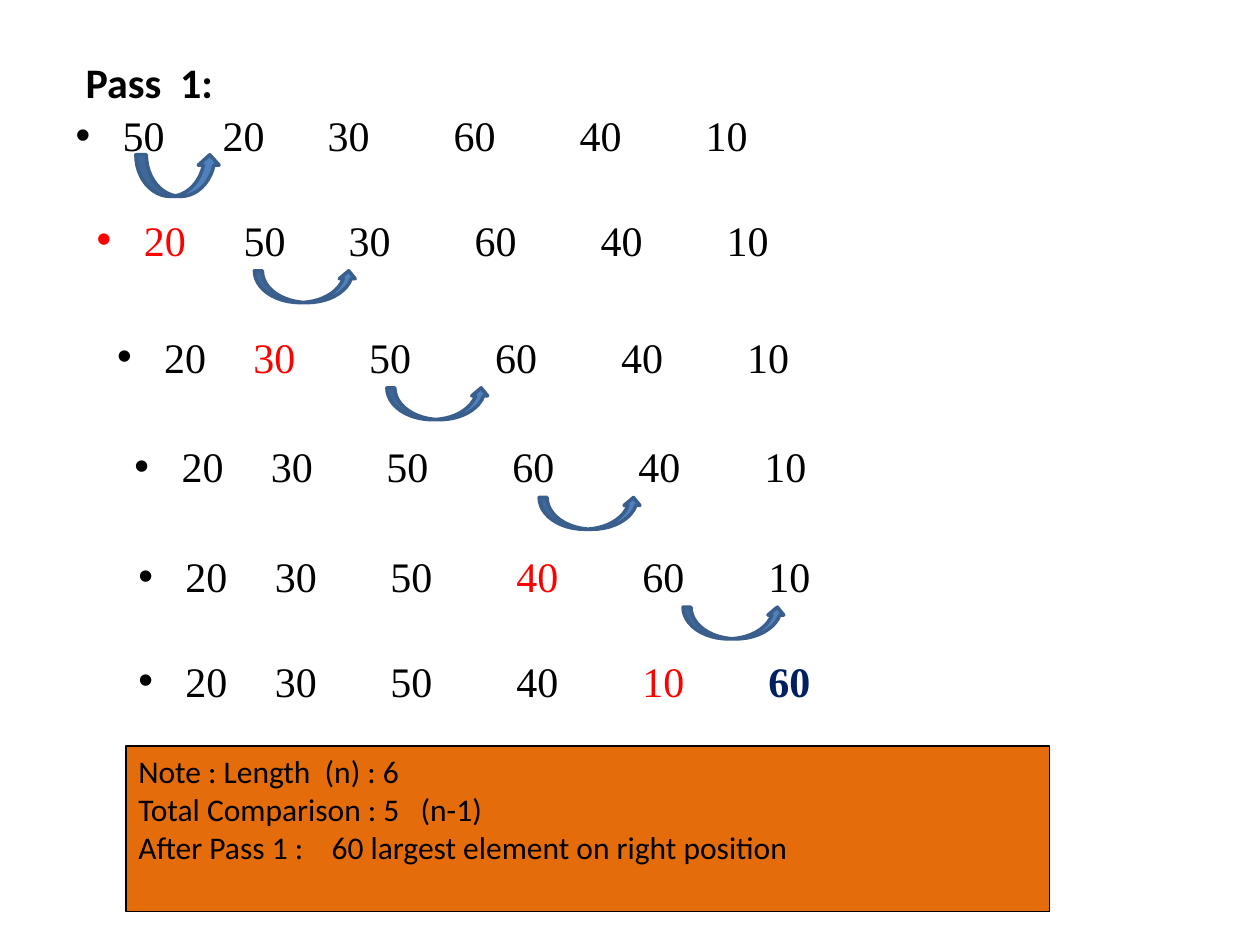
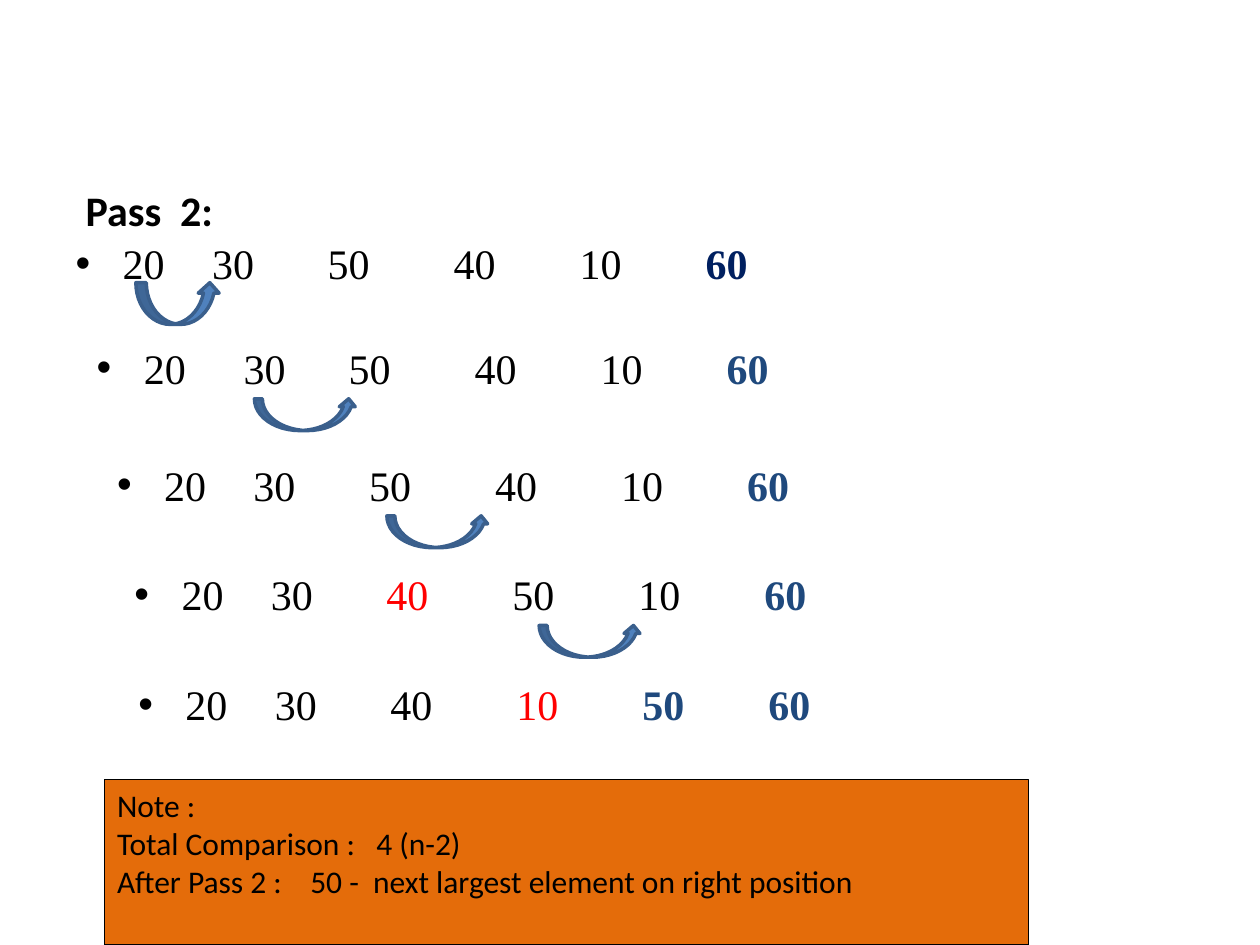
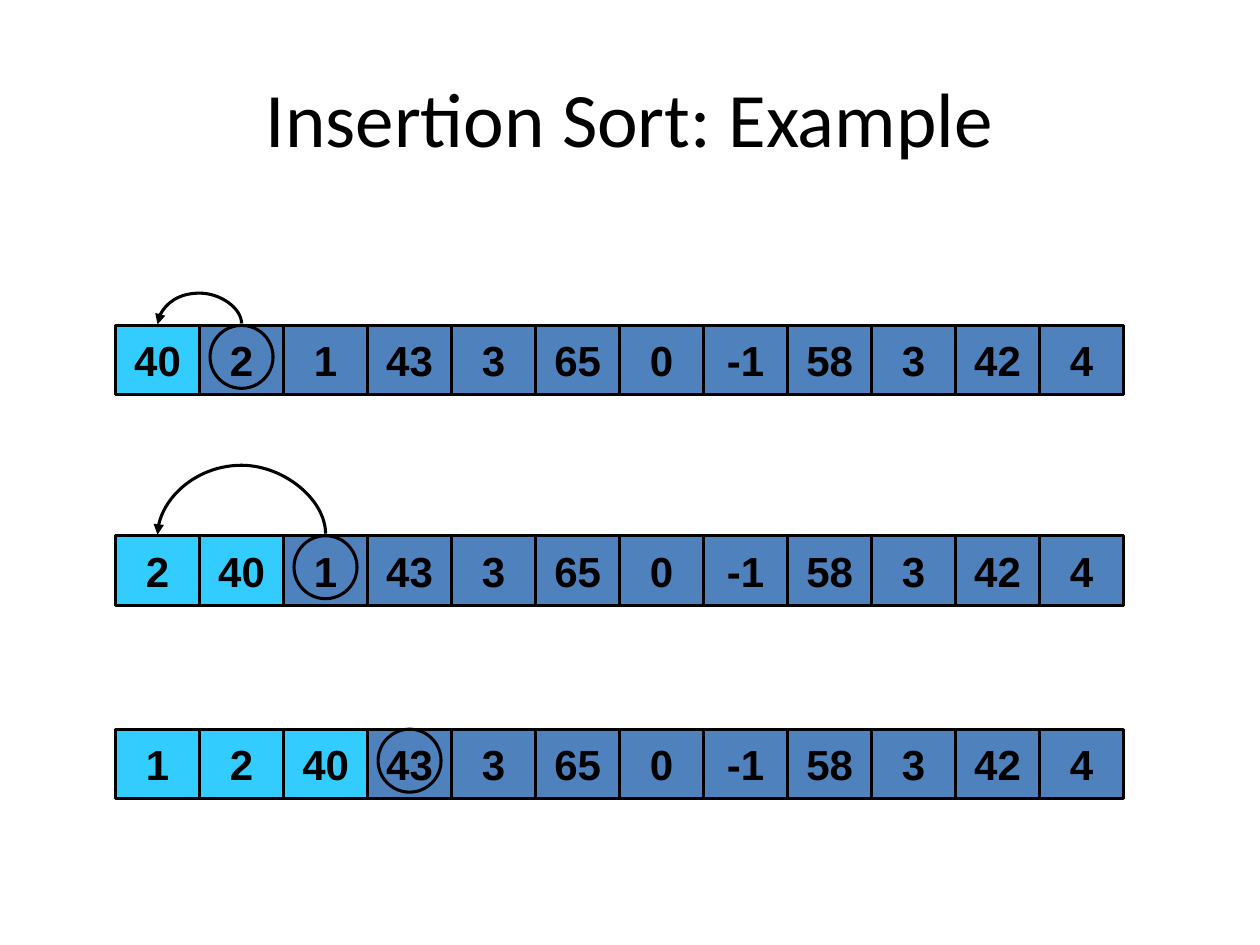
from lxml import etree
from pptx import Presentation
from pptx import util as u
from pptx.dml import color
from pptx.enum import shapes, text
from pptx.oxml import ns

COLORS = {
    "ink": "000000",
    "swapped": "FF0000",
    "settled": "002060",
    "placed": "1F497D",
    "note": "E46C0A",
    "unsorted": "4F81BD",
    "sorted": "33CCFF",
    "swap_edge": "3A5F8C",
}
FONTS = {
    "pass": {"name": "Calibri", "size": u.Pt(24), "bold": True},
    "numbers": {"name": "Times New Roman", "size": u.Pt(24), "bold": False},
    "final": {"name": "Times New Roman", "size": u.Pt(24), "bold": True},
    "note": {"name": "Calibri", "size": u.Pt(18)},
    "cell": {"name": "Arial", "size": u.Pt(24), "bold": True},
    "title": {"name": "Calibri", "size": u.Pt(44), "bold": False},
}
GROWING = {"word_wrap": True, "auto_size": text.MSO_AUTO_SIZE.SHAPE_TO_FIT_TEXT,
           "vertical_anchor": text.MSO_ANCHOR.TOP}
CENTERED = {"word_wrap": False, "vertical_anchor": text.MSO_ANCHOR.MIDDLE}

ROW_PLACES = [(1.27, 2.08), (1.7, 4.19), (2.11, 6.55),
              (2.46, 8.76), (2.54, 10.97), (2.54, 13.08)]
SWAP_PLACES = [(2.74, 3.12, 1.7, 0.84)] + [
    (left, top + 1.27, 2.06, 0.64)
    for left, (_, top) in zip((5.13, 7.8, 10.87, 13.77), ROW_PLACES[1:])]

PASSES = [
    {
        "name": "Pass  1:", "drop": 0, "note_place": (2.54, 15.04),
        "rows": [
            [("50\t  20\t30\t60\t40\t10", "ink")],
            [("20\t", "swapped"), ("  50\t30\t60\t40\t10", "ink")],
            [("20", "ink"), ("\t 30", "swapped"), ("\t50\t60\t40\t10", "ink")],
            [("20\t 30\t50\t60\t40\t10", "ink")],
            [("20\t 30\t50\t", "ink"), ("40", "swapped"), ("\t60\t10", "ink")],
            [("20\t 30\t50\t40\t", "ink"), ("10\t", "swapped"), ("60", "settled")],
        ],
        "note": ["Note : Length  (n) : 6",
                 "Total Comparison : 5   (n-1)",
                 "After Pass 1 :    60 largest element on right position"],
    },
    {
        "name": "Pass  2:", "drop": 2.58, "note_place": (2.11, 15.72),
        "rows": [
            [("20\t 30\t50\t40\t10\t", "ink"), ("60", "settled")],
            [("20\t  30\t50\t40\t10\t", "ink"), ("60", "placed")],
            [("20\t 30\t50\t40\t10\t", "ink"), ("60", "placed")],
            [("20\t 30\t", "ink"), ("40", "swapped"), ("\t50\t10\t", "ink"), ("60", "placed")],
            [("20\t 30\t40\t", "ink"), ("10\t", "swapped"), ("50\t60", "placed")],
        ],
        "note": ["Note :",
                 "Total Comparison :   4 (n-2)",
                 "After Pass 2 :    50 -  next largest element on right position"],
    },
]

ARRAY_LEFT, CELL_WIDTH, CELL_HEIGHT, RING = 2.33, 20.32 / 12, 1.4, 1.27
UNSORTED_TAIL = [43, 3, 65, 0, -1, 58, 3, 42, 4]
INSERTIONS = [
    {"top": 6.56, "values": [40, 2, 1], "sorted": 1, "rise": 0.61},
    {"top": 10.8, "values": [2, 40, 1], "sorted": 2, "rise": 1.38},
    {"top": 14.7, "values": [1, 2, 40], "sorted": 3, "rise": None},
]


def rgb(key):
    return color.RGBColor.from_string(COLORS[key])


def cm(*lengths):
    return [u.Cm(length) for length in lengths]


def apply(target, formats):
    for attribute, value in formats.items():
        setattr(target, attribute, value)


def place(holder, *box):
    apply(holder, dict(zip(("left", "top", "width", "height"), cm(*box))))


def write(paragraph, wording, font, ink="ink"):
    run = paragraph.add_run()
    run.text = wording
    apply(run.font, FONTS[font])
    run.font.color.rgb = rgb(ink)


def add_figure(slide, preset, box, fill, edge, weight):
    figure = slide.shapes.add_shape(preset, *cm(*box))
    figure.shadow.inherit = False
    if fill:
        figure.fill.solid()
        figure.fill.fore_color.rgb = rgb(fill)
    else:
        figure.fill.background()
    figure.line.color.rgb = rgb(edge)
    figure.line.width = u.Pt(weight)
    return figure


def fill_number_row(holder, runs):
    apply(holder.text_frame, GROWING)
    paragraph = holder.text_frame.paragraphs[0]
    paragraph.space_before = u.Pt(0)
    properties = paragraph._p.get_or_add_pPr()
    indents = {"marL": u.Cm(0.95), "indent": u.Cm(-0.95), "defTabSz": u.Cm(2.54)}
    for name, value in indents.items():
        properties.set(name, str(int(value)))
    etree.SubElement(properties, ns.qn("a:buFont")).set("typeface", "Arial")
    etree.SubElement(properties, ns.qn("a:buChar")).set("char", "•")
    for wording, ink in runs:
        write(paragraph, wording, "numbers" if ink in ("ink", "swapped") else "final", ink)


def add_note(slide, left, top, lines):
    note = add_figure(slide, shapes.MSO_SHAPE.RECTANGLE, (left, top, 18.62, 3.33),
                      "note", "ink", 0.75)
    frame = note.text_frame
    apply(frame, {"word_wrap": True, "vertical_anchor": text.MSO_ANCHOR.TOP})
    for index, line in enumerate(lines):
        paragraph = frame.add_paragraph() if index else frame.paragraphs[0]
        paragraph.alignment = text.PP_ALIGN.LEFT
        write(paragraph, line, "note")


def add_pass_slide(deck, sort_pass):
    slide = deck.slides.add_slide(deck.slide_layouts[1])
    drop = sort_pass["drop"]
    heading, first_row = slide.placeholders
    place(heading, 1.47, 1.02 + drop, 4.24, 1.27)
    apply(heading.text_frame, GROWING)
    heading.text_frame.paragraphs[0].alignment = text.PP_ALIGN.LEFT
    write(heading.text_frame.paragraphs[0], sort_pass["name"], "pass")

    for index, runs in enumerate(sort_pass["rows"]):
        left, top = ROW_PLACES[index]
        row = slide.shapes.add_textbox(0, 0, 0, 0) if index else first_row
        place(row, left, top + drop, 22.86, 1.27)
        fill_number_row(row, runs)
    for left, top, width, height in SWAP_PLACES[:len(sort_pass["rows"]) - 1]:
        add_figure(slide, shapes.MSO_SHAPE.CURVED_UP_ARROW,
                   (left, top + drop, width, height), "unsorted", "swap_edge", 2)
    add_note(slide, *sort_pass["note_place"], sort_pass["note"])


def add_cell(slide, left, top, value, fill):
    cell = add_figure(slide, shapes.MSO_SHAPE.RECTANGLE,
                      (left, top, CELL_WIDTH, CELL_HEIGHT), fill, "ink", 1.75)
    apply(cell.text_frame, CENTERED)
    paragraph = cell.text_frame.paragraphs[0]
    paragraph.alignment = text.PP_ALIGN.CENTER
    write(paragraph, str(value), "cell")


def add_insertion_arc(slide, start, end, top, rise):
    depth, span = 0.02, start - end
    arc = slide.shapes.add_connector(shapes.MSO_CONNECTOR.CURVE, 0, 0, 0, 0)
    place(arc, (start + end - depth) / 2, top - span / 2, depth, span)
    arc.line.color.rgb = rgb("ink")
    arc.line.width = u.Pt(1.75)
    properties = arc._element.spPr
    for name, value in {"rot": "16200000", "flipH": "1", "flipV": "1"}.items():
        properties.find(ns.qn("a:xfrm")).set(name, value)
    guides = properties.find(ns.qn("a:prstGeom")).get_or_add_avLst()
    guide = etree.SubElement(guides, ns.qn("a:gd"))
    guide.set("name", "adj1")
    guide.set("fmla", f"val {round(-rise / depth * 100000)}")
    etree.SubElement(arc.line._get_or_add_ln(), ns.qn("a:tailEnd")).set("type", "triangle")
    etree.SubElement(properties, ns.qn("a:effectLst"))


def add_array(slide, insertion):
    top, count = insertion["top"], insertion["sorted"]
    for index, value in enumerate(insertion["values"] + UNSORTED_TAIL):
        add_cell(slide, ARRAY_LEFT + index * CELL_WIDTH, top, value,
                 "sorted" if index < count else "unsorted")
    current = ARRAY_LEFT + (count + 0.5) * CELL_WIDTH
    add_figure(slide, shapes.MSO_SHAPE.OVAL, (current - RING / 2, top, RING, RING),
               None, "ink", 1.75)
    if insertion["rise"]:
        add_insertion_arc(slide, current, ARRAY_LEFT + CELL_WIDTH / 2,
                          top - 0.03, insertion["rise"])


def add_insertion_slide(deck):
    slide = deck.slides.add_slide(deck.slide_layouts[5])
    title = slide.shapes.title
    place(title, 1.27, 0.76, 22.86, 3.18)
    title.text_frame.vertical_anchor = text.MSO_ANCHOR.MIDDLE
    title.text_frame.paragraphs[0].alignment = text.PP_ALIGN.CENTER
    write(title.text_frame.paragraphs[0], "Insertion Sort: Example", "title")
    for insertion in INSERTIONS:
        add_array(slide, insertion)


def main():
    deck = Presentation()
    apply(deck, {"slide_width": u.Cm(25.4), "slide_height": u.Cm(19.05)})
    for sort_pass in PASSES:
        add_pass_slide(deck, sort_pass)
    add_insertion_slide(deck)
    deck.save("out.pptx")


if __name__ == "__main__":
    main()
